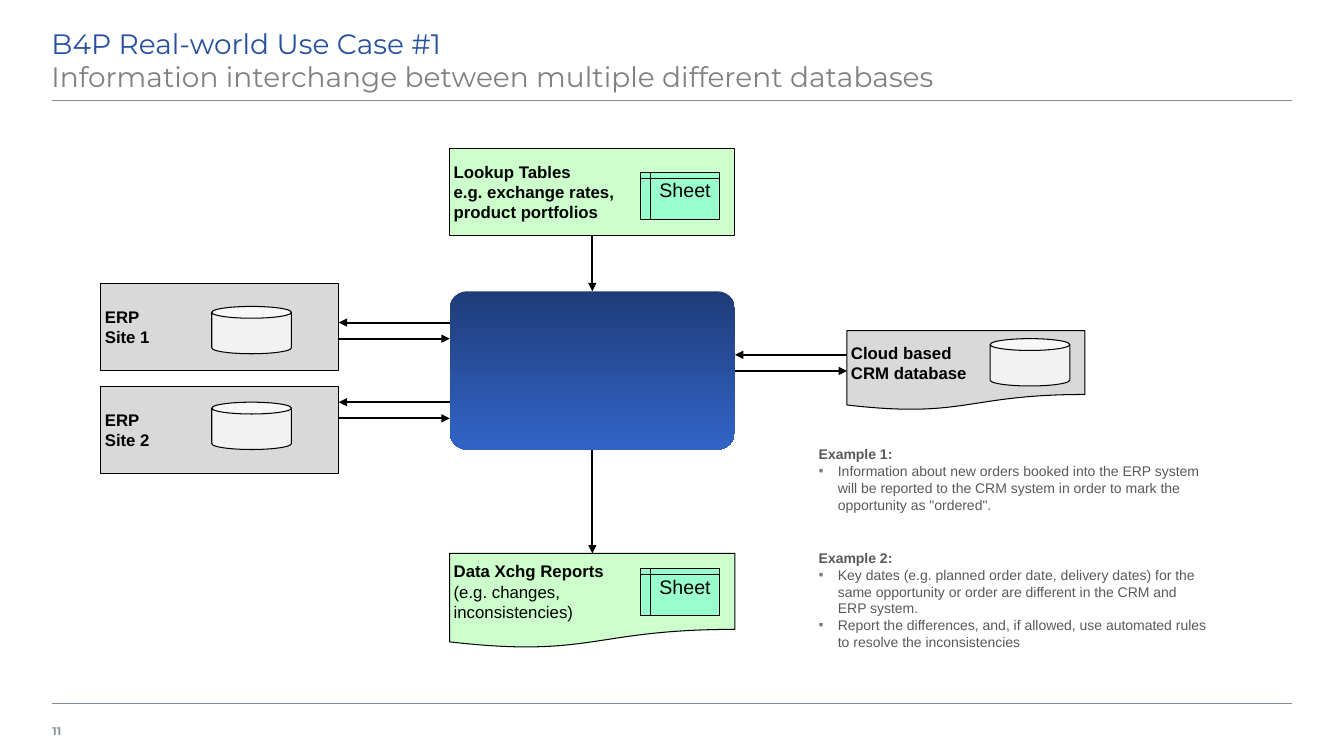
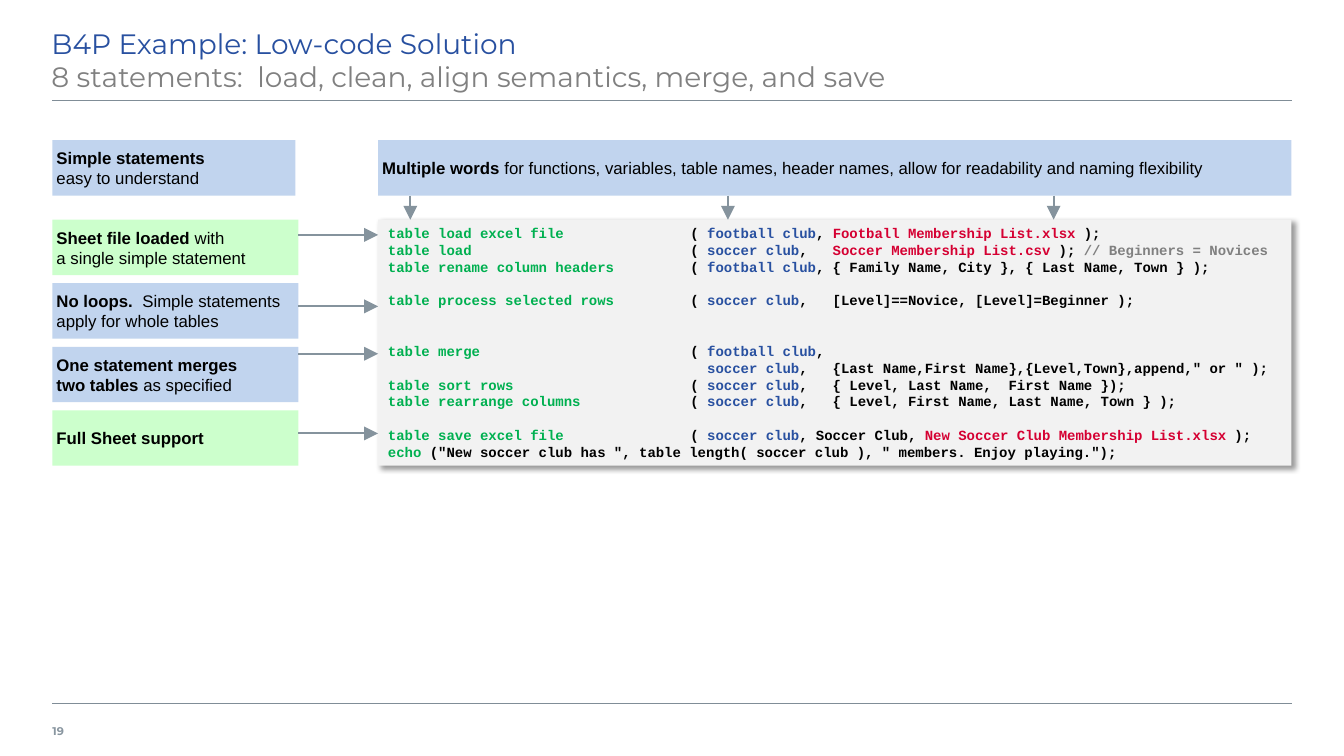
from lxml import etree
from pptx import Presentation
from pptx.dml.color import RGBColor
from pptx.enum.shapes import MSO_CONNECTOR, MSO_SHAPE
from pptx.enum.text import MSO_ANCHOR, MSO_AUTO_SIZE, PP_ALIGN
from pptx.oxml.ns import qn
from pptx.util import Inches, Pt

BLACK = RGBColor(0x00, 0x00, 0x00)
BLUE = RGBColor(0x28, 0x50, 0xA0)
GRADIENT_TOP = RGBColor(0x1E, 0x3C, 0x78)
GRADIENT_BOTTOM = RGBColor(0x32, 0x64, 0xC8)
PALE_BLUE = RGBColor(0xC1, 0xD4, 0xEE)
PALE_GREEN = RGBColor(0xCC, 0xFF, 0xCC)
MINT = RGBColor(0x99, 0xFF, 0xCC)
GREEN = RGBColor(0x00, 0xB0, 0x50)
RED = RGBColor(0xD5, 0x00, 0x32)
GREY = RGBColor(0x80, 0x80, 0x80)
DARK_GREY = RGBColor(0x59, 0x59, 0x59)
SYSTEM_GREY = RGBColor(0xD9, 0xD9, 0xD9)
LIGHT_GREY = RGBColor(0xF2, 0xF2, 0xF2)
RULE_GREY = RGBColor(0x80, 0x8D, 0x97)
NUMBER_GREY = RGBColor(0x89, 0x96, 0xA0)
ARROW_GREY = RGBColor(0x85, 0x93, 0x9D)

TITLE = {"name": "Montserrat", "size": Pt(20), "color": BLUE}
PAGE_NUMBER = {"name": "Montserrat", "size": Pt(8), "bold": True, "color": NUMBER_GREY}
LABEL = {"name": "Arial", "size": Pt(12), "bold": True, "color": BLACK}
SHEET = {"name": "Arial", "size": Pt(14), "color": BLACK}
EXAMPLE = {"name": "Arial", "size": Pt(10), "bold": True, "color": DARK_GREY}
CODE = {"name": "Courier New", "size": Pt(10), "bold": True, "color": BLACK}
PLAIN = {"bold": False}
KEYWORD, TABLE, FILE, REMARK = ({"color": c} for c in (GREEN, BLUE, RED, GREY))

LEFT, RIGHT = 0.52, 12.81
CODE_LEFT, CODE_TOP = 3.75, 2.18


def inches(*lengths):
    return [Inches(length) for length in lengths]


def apply_format(target, values):
    for attribute, value in values.items():
        if attribute == "color":
            target.color.rgb = value
        else:
            setattr(target, attribute, value)


def set_frame(frame, margins, anchor=MSO_ANCHOR.TOP):
    left, top, right, bottom = inches(*margins)
    apply_format(frame, {
        "margin_left": left, "margin_top": top, "margin_right": right,
        "margin_bottom": bottom, "vertical_anchor": anchor,
        "word_wrap": True, "auto_size": MSO_AUTO_SIZE.NONE})


def add_runs(paragraph, runs, style):
    """Write runs, each a string or a (string, changes to the style) pair."""
    for run in runs:
        text, changes = (run, {}) if isinstance(run, str) else run
        part = paragraph.add_run()
        part.text = text
        apply_format(part.font, {**style, **changes})


def write(frame, lines, style, align=PP_ALIGN.LEFT):
    for index, runs in enumerate(lines):
        paragraph = frame.add_paragraph() if index else frame.paragraphs[0]
        paragraph.alignment = align
        add_runs(paragraph, runs, style)


def add_block(slide, kind, box, fill, outline=BLACK):
    block = slide.shapes.add_shape(kind, *inches(*box))
    block.shadow.inherit = False
    block.fill.solid()
    block.fill.fore_color.rgb = fill
    if outline is None:
        block.line.fill.background()
    else:
        block.line.color.rgb = outline
        block.line.width = Pt(0.75)
    return block


def add_label(slide, kind, box, fill, lines, outline=BLACK):
    label = add_block(slide, kind, box, fill, outline)
    set_frame(label.text_frame, [0.04] * 4, MSO_ANCHOR.MIDDLE)
    write(label.text_frame, lines, LABEL)
    return label


def add_line(slide, start, end, color, width):
    line = slide.shapes.add_connector(MSO_CONNECTOR.STRAIGHT, *inches(*start, *end))
    line.line.color.rgb = color
    line.line.width = Pt(width)
    etree.SubElement(line._element.spPr, qn("a:effectLst"))
    return line


def add_arrow(slide, start, end, color=BLACK, head="med"):
    arrow = add_line(slide, start, end, color, 1.5)
    etree.SubElement(arrow.line._get_or_add_ln(), qn("a:tailEnd"),
                     type="triangle", w=head, len=head)
    return arrow


def add_exchange(slide, left, right, top):
    """Draw an arrow to the left and, below it, one to the right."""
    add_arrow(slide, (right, top), (left, top))
    add_arrow(slide, (left, top + 0.16), (right, top + 0.16))


def join(slide, upper, lower):
    arrow = add_arrow(slide, (0, 0), (0, 0))
    arrow.begin_connect(upper, 2)
    arrow.end_connect(lower, 0)


def add_slide(deck, layout, number, heading, subheading):
    slide = deck.slides.add_slide(deck.slide_layouts[layout])
    title = slide.shapes.title
    title.left, title.top, title.width, title.height = inches(0.51, 0.21, 12.28, 0.79)
    set_frame(title.text_frame, (0, 0.05, 0.1, 0.05))
    paragraph = title.text_frame.paragraphs[0]
    paragraph.alignment = PP_ALIGN.LEFT
    add_runs(paragraph, [heading], TITLE)
    paragraph.add_line_break()
    add_runs(paragraph, [(subheading, {"color": GREY})], TITLE)
    for y in (1, 6.98):
        add_line(slide, (LEFT, y), (RIGHT, y), RULE_GREY, 1)
    page = slide.shapes.add_textbox(*inches(LEFT, 7.06, 0.47, 0.39))
    set_frame(page.text_frame, (0, 0.05, 0.08, 0.05), MSO_ANCHOR.MIDDLE)
    write(page.text_frame, [[number]], PAGE_NUMBER)
    return slide


def add_database(slide, left, top):
    add_block(slide, MSO_SHAPE.CAN, (left, top, 0.79, 0.47), LIGHT_GREY)


def add_sheet(slide, left, top):
    sheet = add_block(slide, MSO_SHAPE.FLOWCHART_INTERNAL_STORAGE,
                      (left, top, 0.79, 0.47), MINT)
    set_frame(sheet.text_frame, [0] * 4)
    write(sheet.text_frame, [["Sheet"]], SHEET, PP_ALIGN.CENTER)


def add_engine(slide, box):
    engine = add_block(slide, MSO_SHAPE.ROUNDED_RECTANGLE, box, BLUE, None)
    engine.adjustments[0] = 0.11
    engine.fill.gradient()
    engine.fill.gradient_angle = 270
    for stop, color, position in zip(engine.fill.gradient_stops,
                                     (GRADIENT_TOP, GRADIENT_BOTTOM), (0, 1)):
        stop.color.rgb = color
        stop.position = position
    return engine


def fill_example(body, box, heading, points):
    body.left, body.top, body.width, body.height = inches(*box)
    set_frame(body.text_frame, [0.04] * 4)
    write(body.text_frame, [[heading]] + [[(point, PLAIN)] for point in points], EXAMPLE)
    for index, paragraph in enumerate(body.text_frame.paragraphs):
        paragraph.space_before = Pt(0)
        properties = paragraph._p.get_or_add_pPr()
        indent = Inches(0.19) if index else 0
        properties.set("marL", str(indent))
        properties.set("indent", str(-indent))
        if index:
            color = etree.SubElement(properties, qn("a:buClr"))
            etree.SubElement(color, qn("a:srgbClr"), val=str(GREY))
            etree.SubElement(properties, qn("a:buFont"), typeface="Arial")
            etree.SubElement(properties, qn("a:buChar"), char="▪")
        else:
            etree.SubElement(properties, qn("a:buNone"))


def build_use_case(deck):
    slide = add_slide(deck, 3, "11", "B4P Real-world Use Case #1",
                      "Information interchange between multiple different databases")
    left, width = 4.46, 2.83
    for site, (top, database_top, exchange_top) in enumerate(
            ((2.81, 3.04, 3.2), (3.83, 3.99, 3.99)), 1):
        add_label(slide, MSO_SHAPE.RECTANGLE, (1, top, 2.36, 0.87), SYSTEM_GREY,
                  [["ERP"], [f"Site {site}"]])
        add_database(slide, 2.1, database_top)
        add_exchange(slide, 3.36, left, exchange_top)
    add_label(slide, MSO_SHAPE.FLOWCHART_DOCUMENT, (8.4, 3.28, 2.36, 0.79), SYSTEM_GREY,
              [["Cloud based"], ["CRM database"]])
    add_database(slide, 9.82, 3.36)
    add_exchange(slide, left + width, 8.4, 3.52)

    lookup = add_label(slide, MSO_SHAPE.RECTANGLE, (left, 1.47, width, 0.87), PALE_GREEN,
                       [["Lookup Tables"], ["e.g. exchange rates,"], ["product portfolios"]])
    engine = add_engine(slide, (left, 2.89, width, 1.57))
    reports = add_label(slide, MSO_SHAPE.FLOWCHART_DOCUMENT, (left, 5.49, width, 0.94),
                        PALE_GREEN,
                        [["Data Xchg Reports"], [("(e.g. changes,", PLAIN)],
                         [("inconsistencies)", PLAIN)]])
    for top in (1.71, 5.64):
        add_sheet(slide, 6.35, top)
    join(slide, lookup, engine)
    join(slide, engine, reports)

    first, second = list(slide.placeholders)[1:3]
    fill_example(first, (8.08, 4.38, 3.94, 0.87), "Example 1:", [
        "Information about new orders booked into the ERP system will be reported to "
        "the CRM system in order to mark the opportunity as \"ordered\"."])
    fill_example(second, (8.08, 5.41, 3.94, 1.1), "Example 2:", [
        "Key dates (e.g. planned order date, delivery dates) for the same opportunity "
        "or order are different in the CRM and ERP system.",
        "Report the differences, and, if allowed, use automated rules to resolve the "
        "inconsistencies"])


def add_code(slide, box):
    football, soccer = ("football club", TABLE), ("soccer club", TABLE)
    # Each statement: blank lines above, keyword, arguments
    statements = [
        (0, "table load excel file",
         ["\t( ", football, ", ", ("Football Membership List.xlsx", FILE), " );"]),
        (0, "table load",
         ["\t( ", soccer, ",   ", ("Soccer Membership List.csv ", FILE), "); ",
          ("// Beginners = Novices", REMARK)]),
        (0, "table rename column headers",
         ["\t( ", football, ", { Family Name, City }, { Last Name, Town } );"]),
        (1, "table process selected rows",
         ["\t( ", soccer, ",   [Level]==Novice, [Level]=Beginner );"]),
        (2, "table merge", ["\t( ", football, ","]),
        (0, "", ["\t  ", soccer,
                 ",   {Last Name,First Name},{Level,Town},append,\" or \" );"]),
        (0, "table sort rows",
         ["\t( ", soccer, ",   { Level, Last Name,  First Name });"]),
        (0, "table rearrange columns",
         ["\t( ", soccer, ",   { Level, First Name, Last Name, Town } );"]),
        (1, "table save excel file",
         ["\t( ", soccer, ", Soccer Club, ",
          ("New Soccer Club Membership List.xlsx", FILE), " );"]),
        (0, "echo ", ["(\"New soccer club has \", table length( soccer club ), "
                      "\" members. Enjoy playing.\");"]),
    ]
    panel = add_block(slide, MSO_SHAPE.RECTANGLE, box, LIGHT_GREY, None)
    shadow = etree.SubElement(panel._element.spPr.find(qn("a:effectLst")), qn("a:outerShdw"),
                              blurRad=str(Pt(4)), dist=str(Pt(3)), dir="2700000",
                              algn="tl", rotWithShape="0")
    color = etree.SubElement(shadow, qn("a:srgbClr"), val=str(BLACK))
    etree.SubElement(color, qn("a:alpha"), val="40000")
    set_frame(panel.text_frame, (0.1, 0.05, 0.1, 0.05))
    write(panel.text_frame,
          [([(keyword, KEYWORD)] if keyword else []) + arguments
           for _, keyword, arguments in statements], CODE)
    for paragraph, (blank_lines, _, _) in zip(panel.text_frame.paragraphs, statements):
        if blank_lines:
            paragraph.space_before = Pt(12 * blank_lines)
        tabs = etree.SubElement(paragraph._p.get_or_add_pPr(), qn("a:tabLst"))
        etree.SubElement(tabs, qn("a:tab"), pos=str(Inches(3)), algn="l")


def build_low_code(deck):
    slide = add_slide(deck, 5, "19", "B4P Example: Low-code Solution",
                      "8 statements:  load, clean, align semantics, merge, and save")
    code_width, note_height, header_top = RIGHT - CODE_LEFT, 0.55, 1.39
    add_code(slide, (CODE_LEFT, CODE_TOP, code_width, 2.44))
    headers = [
        (LEFT, 2.41, [["Simple statements"], [("easy to understand", PLAIN)]]),
        (CODE_LEFT, code_width,
         [["Multiple words ", ("for functions, variables, table names, header names, "
                               "allow for readability and naming flexibility", PLAIN)]]),
    ]
    for left, width, lines in headers:
        add_label(slide, MSO_SHAPE.RECTANGLE, (left, header_top, width, note_height),
                  PALE_BLUE, lines, None)
    for x in (4.07, 7.22, 10.45):
        add_arrow(slide, (x, header_top + note_height), (x, CODE_TOP), ARROW_GREY, "lg")

    notes = [
        (PALE_GREEN, 2.33, [["Sheet file loaded ", ("with", PLAIN)],
                            [("a single simple statement", PLAIN)]]),
        (PALE_BLUE, 3.04, [["No loops.  ", ("Simple statements", PLAIN)],
                           [("apply for whole tables", PLAIN)]]),
        (PALE_BLUE, 3.51, [["One statement merges"],
                           ["two tables ", ("as specified", PLAIN)]]),
        (PALE_GREEN, 4.3, [["Full Sheet support"]]),
    ]
    for row, (fill, arrow_y, lines) in enumerate(notes):
        add_label(slide, MSO_SHAPE.RECTANGLE,
                  (LEFT, CODE_TOP + 0.63 * row, 2.44, note_height), fill, lines, None)
        add_arrow(slide, (LEFT + 2.44, arrow_y), (CODE_LEFT, arrow_y), ARROW_GREY, "lg")


def main():
    deck = Presentation()
    deck.slide_width, deck.slide_height = inches(13.33, 7.5)
    build_use_case(deck)
    build_low_code(deck)
    deck.save("out.pptx")


if __name__ == "__main__":
    main()
